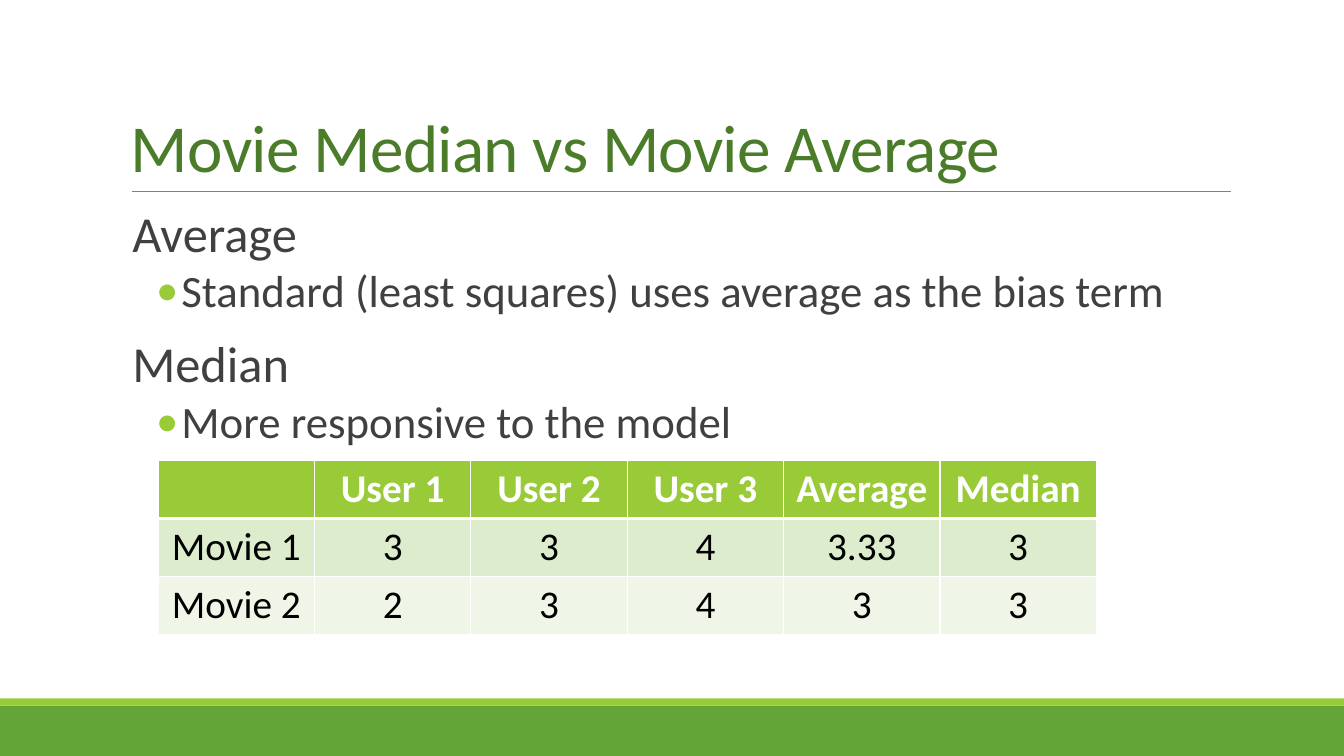
from lxml.etree import SubElement as Sub
from pptx import Presentation
from pptx.dml.color import RGBColor
from pptx.enum.shapes import MSO_CONNECTOR as Conn, MSO_SHAPE as Kind
from pptx.enum.text import MSO_ANCHOR as Anchor, PP_ALIGN as Align
from pptx.oxml.ns import qn
from pptx.util import Pt

WHITE, LIME, GREEN, GRAY = "FFFFFF", "99CB38", "63A537", "404040"
BODY = [
    (0, "Average"),
    (1, "Standard (least squares) uses average as the bias term"),
    (0, "Median"),
    (1, "More responsive to the model"),
]
LEVELS = [
    dict(size=36, left=7.2, hang=7.2, before=12, after=2, mark=" "),
    dict(size=32, left=43.2, hang=18, before=2, after=4, mark="•"),
]
RATINGS = [
    ["", "User 1", "User 2", "User 3", "Average", "Median"],
    ["Movie 1", "3", "3", "4", "3.33", "3"],
    ["Movie 2", "2", "3", "4", "3", "3"],
]
FILLS = [LIME, "DEECCE", "EFF6E8"]


def paint(fill, tone):
    """Make a fill solid in a hex colour."""
    fill.solid()
    fill.fore_color.rgb = RGBColor.from_string(tone)


def add_run(para, text, size, tone, bold=False):
    """Add one styled run to a paragraph."""
    run = para.add_run()
    run.text = text
    font = run.font
    font.name, font.size, font.bold = "Calibri", Pt(size), bold
    paint(font.fill, tone)
    return run


def add_band(slide, top, height, tone):
    """Draw a full-width band."""
    band = slide.shapes.add_shape(Kind.RECTANGLE, 0, Pt(top), Pt(960), Pt(height))
    band.shadow.inherit = False
    paint(band.fill, tone)
    band.line.fill.background()


def add_rule(slide, left, right, y):
    """Draw the thin rule below the title."""
    rule = slide.shapes.add_connector(Conn.STRAIGHT, Pt(left), Pt(y), Pt(right), Pt(y))
    rule.line.width = Pt(0.5)
    paint(rule.line.fill, "808080")
    Sub(rule._element.spPr, qn("a:effectLst"))


def add_box(slide, top, height, anchor):
    """Add a wrapping text frame across the content column."""
    box = slide.shapes.add_textbox(Pt(86.4), Pt(top), Pt(792), Pt(height))
    frame = box.text_frame
    frame.word_wrap = True
    frame.vertical_anchor = anchor
    return frame


def add_title(slide, text):
    """Write the slide title."""
    para = add_box(slide, 22.3, 114.4, Anchor.BOTTOM).paragraphs[0]
    para.line_spacing = 0.85
    run = add_run(para, text, 48, "4A7C29")
    run.font._element.set("spc", "-50")


def set_bullet(para, left, hang, mark):
    """Give a paragraph a hanging bullet."""
    props = para._p.get_or_add_pPr()
    props.set("marL", str(Pt(left)))
    props.set("indent", str(-Pt(hang)))
    tone = Sub(props, qn("a:buClr"))
    Sub(tone, qn("a:srgbClr"), val=LIME)
    Sub(props, qn("a:buFont"), typeface="Calibri")
    Sub(props, qn("a:buChar"), char=mark)


def add_body(slide, items):
    """Write the two-level list."""
    frame = add_box(slide, 145.4, 356.4, Anchor.TOP)
    frame.margin_left = frame.margin_right = 0
    for i, (level, text) in enumerate(items):
        para = frame.add_paragraph() if i else frame.paragraphs[0]
        look = LEVELS[level]
        para.level = level
        para.line_spacing = 0.9
        para.space_before, para.space_after = Pt(look["before"]), Pt(look["after"])
        set_bullet(para, look["left"], look["hang"], look["mark"])
        add_run(para, text, look["size"], GRAY)


def set_edges(cell, **widths):
    """Draw white cell borders of the given widths."""
    props = cell._tc.get_or_add_tcPr()
    for side, width in widths.items():
        edge = Sub(props, qn("a:ln" + side), w=str(Pt(width)))
        fill = Sub(edge, qn("a:solidFill"))
        Sub(fill, qn("a:srgbClr"), val=WHITE)


def add_grid(slide, rows):
    """Add the ratings table."""
    count, width = len(rows[0]), 111.7
    shape = slide.shapes.add_table(
        len(rows), count, Pt(113), Pt(329), Pt(width * count), Pt(41.4 * len(rows)))
    table = shape.table
    for r, row in enumerate(rows):
        head = r == 0
        for c, text in enumerate(row):
            cell = table.cell(r, c)
            set_edges(cell, L=1, R=1, T=3 if r == 1 else 1, B=3 if head else 1)
            paint(cell.fill, FILLS[r])
            para = cell.text_frame.paragraphs[0]
            para.alignment = Align.CENTER
            if text:
                add_run(para, text, 28, WHITE if head else "000000", head)


def main():
    """Build and save the slide."""
    deck = Presentation()
    deck.slide_width, deck.slide_height = Pt(960), Pt(540)
    slide = deck.slides.add_slide(deck.slide_layouts[6])
    add_band(slide, 504, 36, GREEN)
    add_band(slide, 498.8, 5.2, LIME)
    add_rule(slide, 94.2, 879, 136.8)
    add_title(slide, "Movie Median vs Movie Average")
    add_body(slide, BODY)
    add_grid(slide, RATINGS)
    deck.save("out.pptx")


if __name__ == "__main__":
    main()
